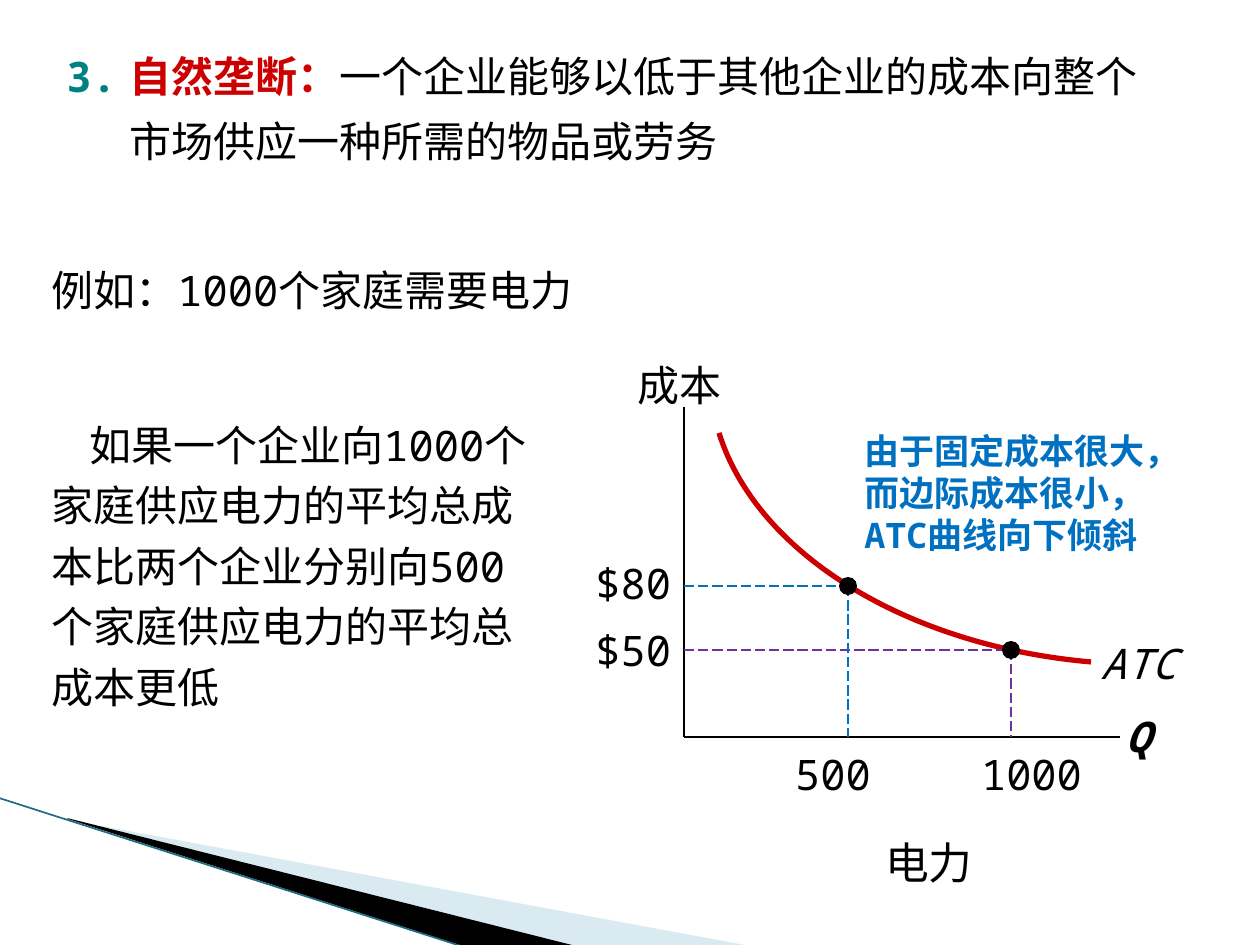
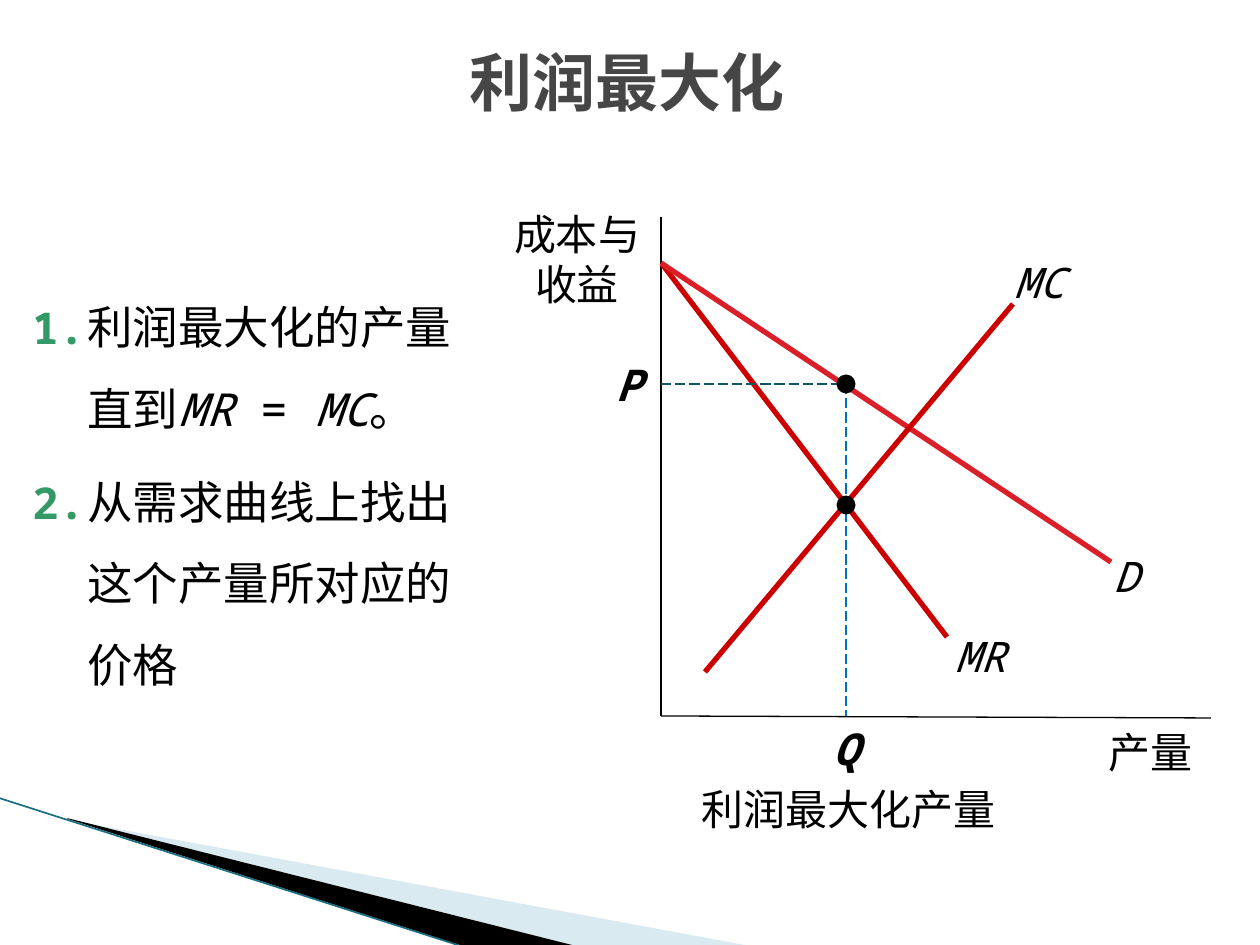
from dataclasses import dataclass

from lxml import etree
from pptx import Presentation
from pptx import util as u
from pptx.dml.color import RGBColor
from pptx.enum import dml, shapes, text
from pptx.oxml import ns
from pptx.shapes.base import BaseShape
from pptx.slide import Slide

SCALE = 914400 / 126
FONT = "Noto Sans Mono"
COLORS = {
    "black": "000000",
    "title": "464646",
    "curve": "CC0000",
    "demand": "DA1F28",
    "number": "008080",
    "list_number": "339966",
    "blue": "0070C0",
    "purple": "7030A0",
    "teal": "105766",
    "band": "A0CBDC",
    "band_edge": "1A6E80",
}
LEFT, CENTER, RIGHT = text.PP_ALIGN.LEFT, text.PP_ALIGN.CENTER, text.PP_ALIGN.RIGHT
Point = tuple[int, int]


@dataclass
class Span:
    words: str
    size: int = 24
    color: str = "black"
    bold: bool = False
    italic: bool = False


@dataclass
class TextBlock:
    left: int
    top: int
    width: int
    height: int
    paragraphs: list[list[Span]]
    align: text.PP_ALIGN = CENTER
    inset: bool = True
    spacing: float = 1.0
    before: int = 0
    margin: int = 0
    indent: int = 0
    middle: bool = False


@dataclass
class Line:
    start: Point
    end: Point
    color: str = "black"
    width: float = 0.75
    dashed: bool = False


@dataclass
class Guide:
    point: Point
    across: str
    down: str


def px(length: float) -> int:
    return round(length * SCALE)


def rgb(name: str) -> RGBColor:
    return RGBColor.from_string(COLORS[name])


def label(left: int, top: int, width: int, height: int, words: str,
          size: int = 24, bold: bool = False, italic: bool = False,
          align: text.PP_ALIGN = CENTER, inset: bool = True) -> TextBlock:
    span = Span(words, size, bold=bold, italic=italic)
    return TextBlock(left, top, width, height, [[span]], align, inset)


def draw_text(slide: Slide, block: TextBlock) -> None:
    shape = slide.shapes.add_textbox(
        px(block.left), px(block.top), px(block.width), px(block.height))
    frame = shape.text_frame
    frame.word_wrap = True
    if block.middle:
        frame.vertical_anchor = text.MSO_ANCHOR.MIDDLE
    if not block.inset:
        frame.margin_left = frame.margin_right = 0
        frame.margin_top = frame.margin_bottom = 0
    for index, spans in enumerate(block.paragraphs):
        paragraph = frame.add_paragraph() if index else frame.paragraphs[0]
        paragraph.alignment = block.align
        paragraph.line_spacing = block.spacing
        paragraph.space_before = u.Pt(block.before)
        properties = paragraph._p.get_or_add_pPr()
        properties.set("marL", str(px(block.margin)))
        properties.set("indent", str(px(block.indent)))
        for span in spans:
            run = paragraph.add_run()
            run.text = span.words
            run.font.name = FONT
            run.font.size = u.Pt(span.size)
            run.font.bold = span.bold
            run.font.italic = span.italic
            run.font.color.rgb = rgb(span.color)
            east_asian = etree.SubElement(run.font._element, ns.qn("a:ea"))
            east_asian.set("typeface", FONT)


def draw_line(slide: Slide, line: Line) -> None:
    connector = slide.shapes.add_connector(
        shapes.MSO_CONNECTOR.STRAIGHT, *map(px, line.start + line.end))
    connector.line.color.rgb = rgb(line.color)
    connector.line.width = u.Pt(line.width)
    if line.dashed:
        connector.line.dash_style = dml.MSO_LINE.LONG_DASH
    etree.SubElement(connector._element.spPr, ns.qn("a:effectLst"))


def draw_outline(slide: Slide, points: list[Point], close: bool) -> BaseShape:
    builder = slide.shapes.build_freeform(*points[0], scale=SCALE)
    builder.add_line_segments(points[1:], close=close)
    shape = builder.convert_to_shape()
    shape.shadow.inherit = False
    return shape


def draw_band(slide: Slide, points: list[Point], color: str, opacity: int) -> None:
    shape = draw_outline(slide, points, True)
    shape.fill.solid()
    shape.fill.fore_color.rgb = rgb(color)
    shape.line.fill.background()
    color_element = shape._element.spPr.find(".//" + ns.qn("a:srgbClr"))
    etree.SubElement(color_element, ns.qn("a:alpha")).set("val", str(opacity * 1000))


def draw_curve(slide: Slide, points: list[Point]) -> None:
    shape = draw_outline(slide, points, False)
    shape.fill.background()
    shape.line.color.rgb = rgb("curve")
    shape.line.width = u.Pt(3)
    outline = shape._element.spPr.find(".//" + ns.qn("a:path"))
    bezier = etree.SubElement(outline, ns.qn("a:cubicBezTo"))
    for segment in outline.findall(ns.qn("a:lnTo")):
        bezier.append(segment[0])
        outline.remove(segment)


def draw_guide(slide: Slide, guide: Guide, origin: Point) -> None:
    x, y = guide.point
    draw_line(slide, Line((origin[0], y), guide.point, guide.across, dashed=True))
    draw_line(slide, Line(guide.point, (x, origin[1]), guide.down, dashed=True))


def draw_dot(slide: Slide, center: Point, size: int) -> None:
    x, y = center
    dot = slide.shapes.add_shape(
        shapes.MSO_SHAPE.OVAL, px(x - size / 2), px(y - size / 2), px(size), px(size))
    dot.shadow.inherit = False
    dot.fill.solid()
    dot.fill.fore_color.rgb = rgb("black")
    dot.line.fill.background()


def add_slide(presentation: Presentation) -> Slide:
    slide = presentation.slides.add_slide(presentation.slide_layouts[6])
    draw_band(slide, [(69, 820), (750, 946), (575, 946), (69, 819)], "band", 40)
    draw_band(slide, [(67, 818), (576, 946), (469, 948), (68, 819)], "black", 100)
    draw_line(slide, Line((-1, 798), (467, 948), "band_edge", 0.95))
    return slide


def build_monopoly(presentation: Presentation) -> None:
    slide = add_slide(presentation)
    origin = (684, 737)
    draw_line(slide, Line((684, 407), origin))
    draw_line(slide, Line(origin, (1120, 737)))
    draw_curve(slide, [(1091, 662), (907, 646), (757, 554), (719, 433)])
    guides = [Guide((1011, 650), "purple", "purple"), Guide((848, 586), "blue", "blue")]
    for guide in guides:
        draw_guide(slide, guide, origin)
        draw_dot(slide, guide.point, 18)
    blocks = [
        TextBlock(39, 29, 1134, 208, [[
            Span("3.\t", color="number", bold=True),
            Span("自然垄断：", color="curve", bold=True),
            Span("一个企业能够以低于其他企业的成本向整个市场供应一种所需的物品或劳务"),
        ]], LEFT, spacing=1.3, margin=78, indent=-63),
        TextBlock(39, 256, 571, 135, [[Span("例如：1000个家庭需要电力")]],
                  LEFT, spacing=1.05),
        TextBlock(39, 403, 512, 392, [[
            Span("如果一个企业向1000个家庭供应电力的平均总成本比"
                 "两个企业分别向500个家庭供应电力的平均总成本更低"),
        ]], LEFT, spacing=1.2, indent=38),
        TextBlock(852, 423, 349, 140, [[
            Span("由于固定成本很大，而边际成本很小，ATC曲线向下倾斜", 20, "blue", True),
        ]], LEFT),
        label(1113, 704, 62, 63, "Q", bold=True, italic=True, align=LEFT),
        label(620, 353, 120, 63, "成本"),
        label(1075, 631, 127, 63, "ATC", italic=True),
        label(951, 742, 161, 63, "1000"),
        label(767, 742, 132, 63, "500"),
        label(578, 625, 93, 50, "$50", align=RIGHT, inset=False),
        label(578, 558, 93, 50, "$80", align=RIGHT, inset=False),
        label(772, 830, 314, 66, "电力", 25),
    ]
    for block in blocks:
        draw_text(slide, block)


def build_profit(presentation: Presentation) -> None:
    slide = add_slide(presentation)
    origin = (661, 716)
    optimum = (846, 505)
    guide = Guide((846, 384), "teal", "blue")
    lines = [
        Line((661, 217), origin),
        Line(origin, (1211, 718)),
        Line((662, 264), (947, 637), "curve", 3),
        Line((661, 263), (1111, 562), "demand", 3),
        Line((705, 672), (1013, 304), "curve", 3),
    ]
    for line in lines:
        draw_line(slide, line)
    draw_guide(slide, guide, origin)
    for center in (guide.point, optimum):
        draw_dot(slide, center, 19)
    blocks = [
        TextBlock(48, 35, 1159, 93, [[Span("利润最大化", 36, "title", True)]], middle=True),
        TextBlock(20, 266, 452, 578, [
            [Span("1.\t", 25, "list_number", True), Span("利润最大化的产量直到", 26),
             Span("MR", 26, italic=True), Span(" = ", 26),
             Span("MC", 26, italic=True), Span("。", 26)],
            [Span("2.\t", 25, "list_number", True),
             Span("从需求曲线上找出这个产量所对应的价格", 26)],
        ], LEFT, spacing=1.5, before=6, margin=55, indent=-55),
        label(1021, 727, 171, 50, "产量", align=RIGHT, inset=False),
        label(493, 202, 168, 115, "成本与收益"),
        label(939, 631, 82, 50, "MR", italic=True, inset=False),
        label(1096, 551, 60, 50, "D", italic=True, inset=False),
        label(998, 257, 82, 50, "MC", italic=True, inset=False),
        label(689, 777, 323, 64, "利润最大化产量", align=LEFT),
        label(601, 352, 55, 66, "P", 25, bold=True, italic=True),
        label(810, 716, 72, 66, "Q", 25, bold=True, italic=True),
    ]
    for block in blocks:
        draw_text(slide, block)


def main() -> None:
    presentation = Presentation()
    presentation.slide_width = px(1260)
    presentation.slide_height = px(945)
    build_monopoly(presentation)
    build_profit(presentation)
    presentation.save("out.pptx")


main()
